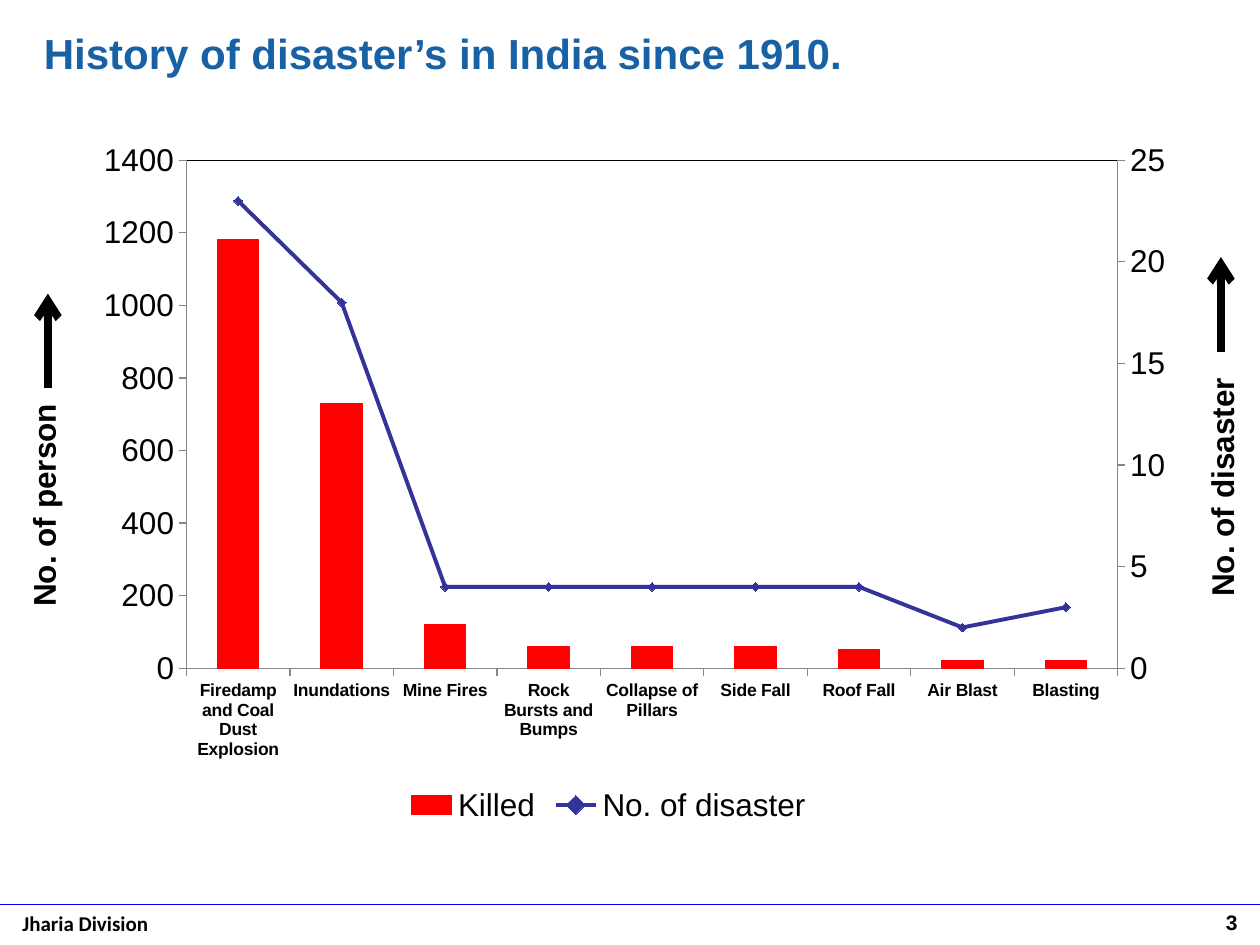
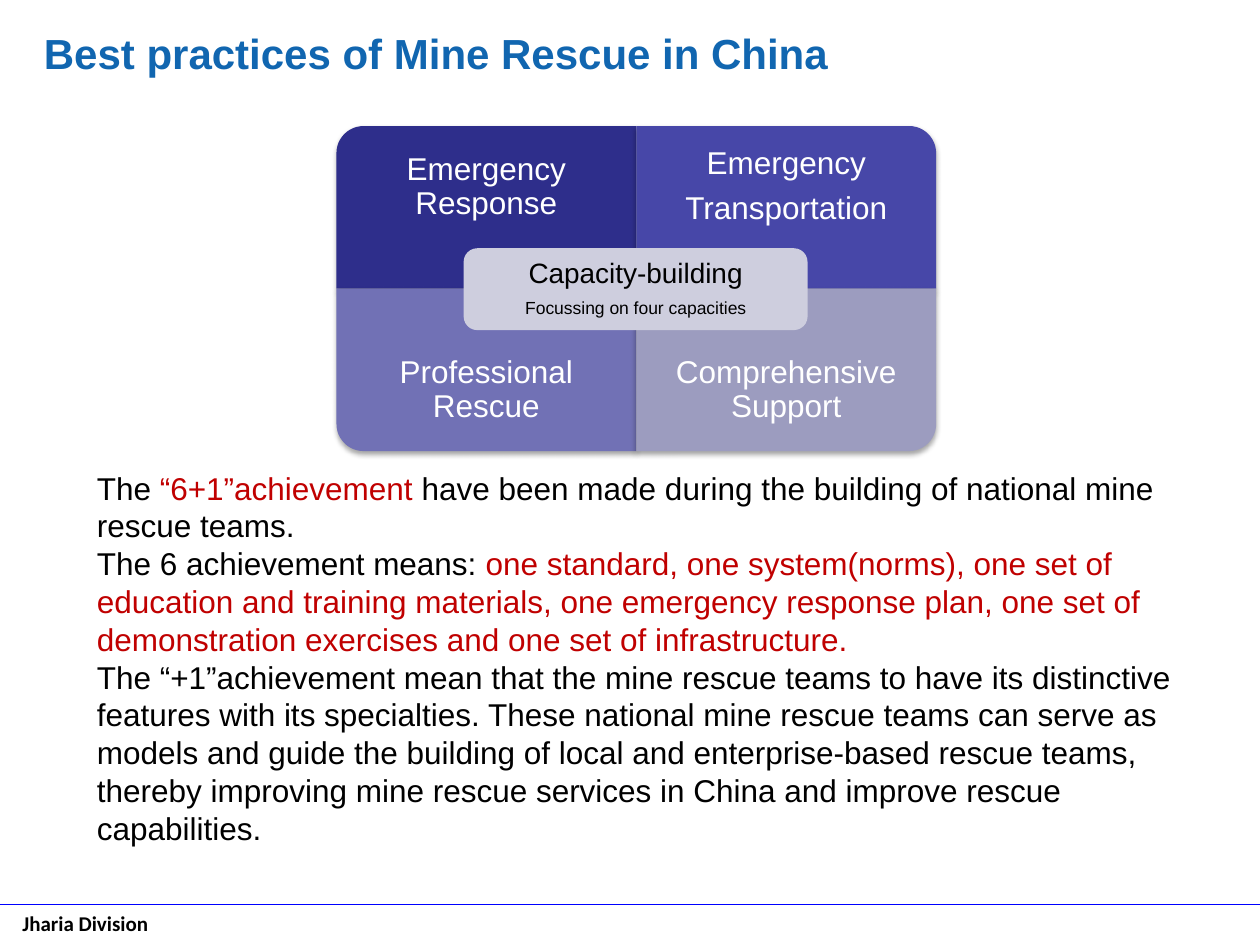
"""Build two slides on mine disasters in India and mine rescue in China."""
from lxml import etree
from pptx import Presentation
from pptx.chart.data import CategoryChartData
from pptx.dml.color import RGBColor
from pptx.enum.chart import XL_CHART_TYPE as ChartType
from pptx.enum.chart import XL_LEGEND_POSITION as LegendPosition
from pptx.enum.chart import XL_MARKER_STYLE as MarkerStyle
from pptx.enum.chart import XL_TICK_MARK as TickMark
from pptx.enum.shapes import MSO_CONNECTOR as Connector
from pptx.enum.shapes import MSO_SHAPE as Shape
from pptx.enum.text import MSO_ANCHOR as Anchor
from pptx.enum.text import PP_ALIGN as Align
from pptx.oxml import parse_xml
from pptx.oxml.ns import nsdecls, qn
from pptx.util import Inches, Pt

BLACK = RGBColor(0x00, 0x00, 0x00)
WHITE = RGBColor(0xFF, 0xFF, 0xFF)
BLUE = RGBColor(0x00, 0x00, 0xFF)
RED = RGBColor(0xFF, 0x00, 0x00)
DARK_RED = RGBColor(0xC0, 0x00, 0x00)
LINE_BLUE = RGBColor(0x33, 0x33, 0x99)
AXIS_GREY = RGBColor(0x87, 0x87, 0x87)
PANEL = RGBColor(0xCE, 0xCE, 0xDE)

HISTORY_TITLE = ("History of disaster’s in India since 1910.", RGBColor(0x18, 0x61, 0xA4))
RESCUE_TITLE = ("Best practices of Mine Rescue in China", RGBColor(0x11, 0x66, 0xB0))
FOOTER = "Jharia Division"
PAGE_NUMBER = "3"

DISASTERS = [
    ("Firedamp and Coal Dust Explosion", 1180, 23),
    ("Inundations", 730, 18),
    ("Mine Fires", 120, 4),
    ("Rock Bursts and Bumps", 60, 4),
    ("Collapse of Pillars", 60, 4),
    ("Side Fall", 60, 4),
    ("Roof Fall", 50, 4),
    ("Air Blast", 20, 2),
    ("Blasting", 20, 3),
]
SERIES_NAMES = ("Killed", "No. of disaster")
PLOT_LAYOUT = {"x": 0.151, "y": 0.035, "w": 0.77, "h": 0.733}
AXIS_CAPTIONS = [
    ("No. of person", -0.74, 3.63, 0.38, 3.08),
    ("No. of disaster", 8.61, 3.55, 9.69, 2.79),
]
ARROW_LENGTH = 0.75

CAPACITIES = [
    (["Emergency Response"], RGBColor(0x2E, 0x2E, 0x8B), 270),
    (["Emergency", "Transportation"], RGBColor(0x47, 0x47, 0xA8), 0),
    (["Professional Rescue"], RGBColor(0x71, 0x71, 0xB5), 180),
    (["Comprehensive Support"], RGBColor(0x9C, 0x9C, 0xBF), 90),
]
GRID_LEFT, GRID_TOP = 2.67, 1.0
CELL_WIDTH, CELL_HEIGHT, LABEL_HEIGHT = 2.38, 1.29, 0.97
CENTRE_LINES = [("Capacity-building", 16), ("Focussing on four capacities", 10)]

ACHIEVEMENTS = [
    [
        ("The ", BLACK),
        ("“6+1”achievement ", DARK_RED),
        ("have been made during the building of national mine rescue teams.", BLACK),
    ],
    [
        ("The 6 achievement means: ", BLACK),
        ("one standard, one system(norms), one set of education and training materials, "
         "one emergency response plan, one set of demonstration exercises and one set of "
         "infrastructure.", DARK_RED),
    ],
    [
        ("The “+1”achievement mean that the mine rescue teams to have its distinctive "
         "features with its specialties. These national mine rescue teams can serve as "
         "models and guide the building of local and enterprise-based rescue teams, "
         "thereby improving mine rescue services in China and improve rescue "
         "capabilities.", BLACK),
    ],
]

SHADOW_XML = (
    f'<a:effectLst {nsdecls("a")}><a:outerShdw blurRad="{Pt(3.1)}" dist="{Pt(1.8)}" '
    'dir="5400000" rotWithShape="0"><a:srgbClr val="000000"><a:alpha val="35000"/>'
    "</a:srgbClr></a:outerShdw></a:effectLst>"
)
LINE_PLOT_XML = (
    f'<c:lineChart {nsdecls("c")}><c:grouping val="standard"/><c:varyColors val="0"/>'
    '<c:marker val="1"/><c:axId val="5001"/><c:axId val="5002"/></c:lineChart>'
)
HIDDEN_AXIS_XML = (
    f'<c:catAx {nsdecls("c")}><c:axId val="5001"/><c:scaling>'
    '<c:orientation val="minMax"/></c:scaling><c:delete val="1"/><c:axPos val="b"/>'
    '<c:crossAx val="5002"/><c:crosses val="autoZero"/></c:catAx>'
)
RIGHT_AXIS_XML = (
    f'<c:valAx {nsdecls("c", "a")}><c:axId val="5002"/><c:scaling>'
    '<c:orientation val="minMax"/><c:max val="25"/><c:min val="0"/></c:scaling>'
    '<c:delete val="0"/><c:axPos val="r"/><c:numFmt formatCode="General" sourceLinked="0"/>'
    '<c:majorTickMark val="out"/><c:minorTickMark val="none"/><c:tickLblPos val="nextTo"/>'
    f'<c:spPr><a:ln w="9525"><a:solidFill><a:srgbClr val="{AXIS_GREY}"/></a:solidFill></a:ln>'
    '</c:spPr><c:crossAx val="5001"/><c:crosses val="max"/><c:majorUnit val="5"/></c:valAx>'
)
PLOT_BORDER_XML = (
    f'<c:spPr {nsdecls("c", "a")}><a:noFill/><a:ln w="9525"><a:solidFill>'
    '<a:srgbClr val="000000"/></a:solidFill></a:ln></c:spPr>'
)


def add_run(paragraph, text, size, color, bold=False, font="Arial"):
    run = paragraph.add_run()
    run.text = text
    run.font.name, run.font.size, run.font.bold = font, Pt(size), bold
    run.font.color.rgb = color


def add_text(slide, box, paragraphs, anchor=Anchor.TOP, inset=None, align=None, spaced=False):
    shape = slide.shapes.add_textbox(*map(Inches, box))
    frame = shape.text_frame
    frame.word_wrap, frame.vertical_anchor = True, anchor
    if inset is not None:
        frame.margin_left = frame.margin_right = Inches(inset)
        frame.margin_top = frame.margin_bottom = Inches(inset)
    for index, runs in enumerate(paragraphs):
        paragraph = frame.add_paragraph() if index else frame.paragraphs[0]
        paragraph.alignment = align
        if spaced:
            paragraph.line_spacing = 0.9
            paragraph.space_after = Pt(0.35 * runs[0][1])
        for run in runs:
            add_run(paragraph, *run)
    return shape


def add_line(slide, start, end, color, width, arrow=False):
    connector = slide.shapes.add_connector(Connector.STRAIGHT, *map(Inches, start + end))
    connector.line.color.rgb = color
    connector.line.width = Pt(width)
    properties = connector.element.spPr
    if arrow:
        etree.SubElement(properties.find(qn("a:ln")), qn("a:tailEnd"), type="arrow")
    etree.SubElement(properties, qn("a:effectLst"))


def add_block(slide, preset, box, color, rotation=0):
    block = slide.shapes.add_shape(preset, *map(Inches, box))
    block.rotation = rotation
    block.shadow.inherit = False
    block.fill.solid()
    block.fill.fore_color.rgb = color
    block.line.fill.background()
    return block


def add_base_slide(presentation, title):
    slide = presentation.slides.add_slide(presentation.slide_layouts[6])
    add_text(slide, (0.08, 7.18, 2.33, 0.3), [[(FOOTER, 12, BLACK, True, "Calibri")]])
    add_line(slide, (0, 7.18), (10, 7.18), BLUE, 0.25)
    text, color = title
    add_text(slide, (0.25, 0.17, 8.75, 0.5), [[(text, 24, color, True)]], Anchor.MIDDLE)
    return slide


def add_right_axis_line(chart):
    plot_area = chart.element.find(f'.//{qn("c:plotArea")}')
    bars = plot_area.find(qn("c:barChart"))
    series = bars.findall(qn("c:ser"))[1]
    for bar_only in series.findall(qn("c:invertIfNegative")):
        series.remove(bar_only)
    line_plot = parse_xml(LINE_PLOT_XML)
    line_plot.insert(2, series)
    bars.addnext(line_plot)
    for xml in (HIDDEN_AXIS_XML, RIGHT_AXIS_XML, PLOT_BORDER_XML):
        plot_area.append(parse_xml(xml))

    for old_layout in plot_area.findall(qn("c:layout")):
        plot_area.remove(old_layout)
    layout = etree.Element(qn("c:layout"))
    manual = etree.SubElement(layout, qn("c:manualLayout"))
    etree.SubElement(manual, qn("c:layoutTarget"), val="inner")
    for side in ("x", "y"):
        etree.SubElement(manual, qn(f"c:{side}Mode"), val="edge")
    for side, value in PLOT_LAYOUT.items():
        etree.SubElement(manual, qn(f"c:{side}"), val=str(value))
    plot_area.insert(0, layout)


def add_disaster_chart(slide):
    names, *columns = zip(*DISASTERS)
    data = CategoryChartData()
    data.categories = names
    for series_name, values in zip(SERIES_NAMES, columns):
        data.add_series(series_name, values)
    box = map(Inches, (0.03, 1.08, 9.6, 5.5))
    chart = slide.shapes.add_chart(ChartType.COLUMN_CLUSTERED, *box, data).chart
    chart.has_title = False
    chart.font.name, chart.font.size = "Arial", Pt(18)
    chart.font.color.rgb = BLACK
    chart.has_legend = True
    chart.legend.position = LegendPosition.BOTTOM
    chart.legend.include_in_layout = False

    for axis in (chart.category_axis, chart.value_axis):
        axis.has_major_gridlines = False
        axis.major_tick_mark = TickMark.OUTSIDE
        axis.format.line.color.rgb = AXIS_GREY
        axis.format.line.width = Pt(0.75)
    labels = chart.category_axis.tick_labels.font
    labels.name, labels.size, labels.bold = "Arial", Pt(10), True
    labels.color.rgb = BLACK
    chart.value_axis.minimum_scale = 0
    chart.value_axis.maximum_scale = 1400
    chart.value_axis.major_unit = 200

    add_right_axis_line(chart)
    bar_plot, line_plot = chart.plots
    bar_plot.gap_width = 150
    bar_plot.vary_by_categories = False
    killed, disasters = bar_plot.series[0], line_plot.series[0]
    killed.format.fill.solid()
    killed.format.fill.fore_color.rgb = RED
    killed.format.line.color.rgb = RED
    killed.format.line.width = Pt(0.75)
    disasters.smooth = False
    disasters.format.line.color.rgb = LINE_BLUE
    disasters.format.line.width = Pt(2.25)
    disasters.marker.style, disasters.marker.size = MarkerStyle.DIAMOND, 5
    disasters.marker.format.fill.solid()
    disasters.marker.format.fill.fore_color.rgb = LINE_BLUE
    disasters.marker.format.line.color.rgb = LINE_BLUE


def build_history_slide(presentation):
    slide = add_base_slide(presentation, HISTORY_TITLE)
    add_disaster_chart(slide)
    add_text(slide, (7.75, 7.06, 2.17, 0.52), [[(PAGE_NUMBER, 12, BLACK, True)]],
             Anchor.MIDDLE, align=Align.RIGHT)
    for caption, left, top, arrow_x, arrow_y in AXIS_CAPTIONS:
        add_line(slide, (arrow_x, arrow_y), (arrow_x, arrow_y - ARROW_LENGTH), BLACK, 4.5, True)
        label = add_text(slide, (left, top, 2.17, 0.4), [[(caption, 18, BLACK, True)]])
        label.rotation = 270


def build_rescue_slide(presentation):
    slide = add_base_slide(presentation, RESCUE_TITLE)
    for index, (lines, color, rotation) in enumerate(CAPACITIES):
        row, column = divmod(index, 2)
        left = GRID_LEFT + column * CELL_WIDTH
        top = GRID_TOP + row * CELL_HEIGHT
        width, height = CELL_WIDTH, CELL_HEIGHT
        if rotation % 180:
            width, height = height, width
        box = (left + (CELL_WIDTH - width) / 2, top + (CELL_HEIGHT - height) / 2, width, height)
        properties = add_block(slide, Shape.ROUND_1_RECTANGLE, box, color, rotation).element.spPr
        properties.replace(properties.find(qn("a:effectLst")), parse_xml(SHADOW_XML))
        label_top = top + row * (CELL_HEIGHT - LABEL_HEIGHT)
        add_text(slide, (left, label_top, CELL_WIDTH, LABEL_HEIGHT),
                 [[(line, 18, WHITE)] for line in lines],
                 Anchor.MIDDLE, 0.14, Align.CENTER, True)

    add_block(slide, Shape.ROUNDED_RECTANGLE, (3.68, 1.97, 2.73, 0.65), PANEL)
    add_text(slide, (3.71, 2, 2.67, 0.58), [[(text, size, BLACK)] for text, size in CENTRE_LINES],
             Anchor.MIDDLE, 0.07, Align.CENTER, True)
    add_text(slide, (0.67, 3.67, 8.75, 3.13),
             [[(text, 18, color) for text, color in runs] for runs in ACHIEVEMENTS])


def main():
    presentation = Presentation()
    presentation.slide_width, presentation.slide_height = Inches(10), Inches(7.5)
    build_history_slide(presentation)
    build_rescue_slide(presentation)
    presentation.save("out.pptx")


if __name__ == "__main__":
    main()
